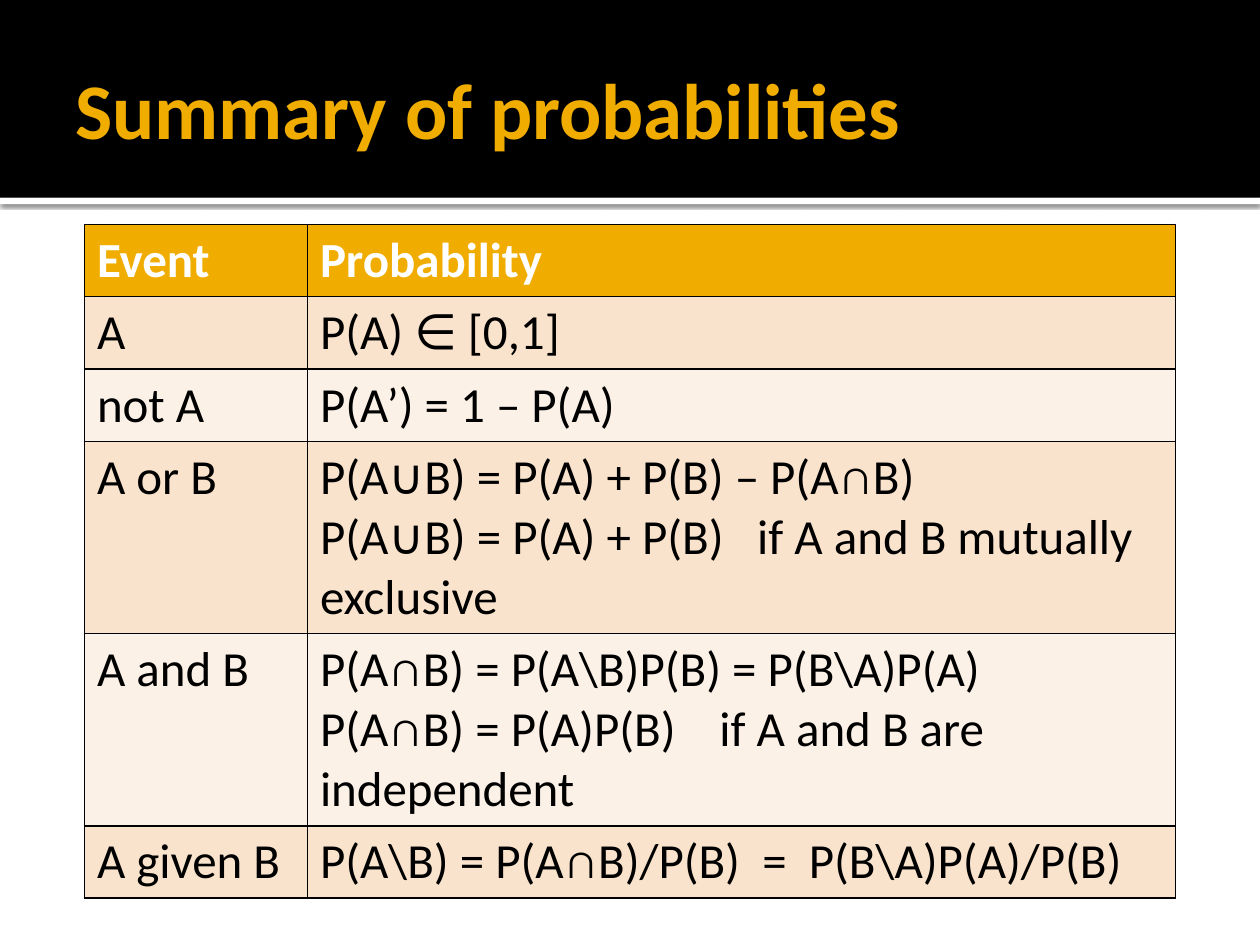
from lxml import etree
from pptx import Presentation
from pptx.dml.color import RGBColor
from pptx.enum.shapes import MSO_SHAPE
from pptx.enum.text import MSO_ANCHOR
from pptx.oxml.ns import qn
from pptx.util import Inches, Pt

GOLD, BLACK, WHITE = "F0AD00", "000000", "FFFFFF"
BANDS = ("F9E3CC", "FCF1E7")
COLUMN_WIDTHS = (1.77, 6.89)
LINE_ROW, TALL_ROW = 0.575, 1.525

ROWS = [
    ("Event", ["Probability"], ()),
    ("A", ["P(A) ∈ [0,1]"], ()),
    ("not A", ["P(A’) = 1 – P(A)"], ()),
    ("A or B", ["P(A∪B) = P(A) + P(B) – P(A∩B)",
                "P(A∪B) = P(A) + P(B)\tif A and B mutually exclusive"], (3.47,)),
    ("A and B", ["P(A∩B) = P(A\\B)P(B) = P(B\\A)P(A)",
                 "P(A∩B) = P(A)P(B)\tif A and B are independent"], (3.17,)),
    ("A given B", ["P(A\\B) = P(A∩B)/P(B)\t=\tP(B\\A)P(A)/P(B)"], (3.51, 3.88)),
]


def paint(fill, color):
    fill.solid()
    fill.fore_color.rgb = RGBColor.from_string(color)


def set_attributes(target, values):
    for name, value in values.items():
        setattr(target, name, value)


def add_band(slide, top, height, color):
    band = slide.shapes.add_shape(
        MSO_SHAPE.RECTANGLE, 0, Inches(top), Inches(10), Inches(height))
    band.shadow.inherit = False
    paint(band.fill, color)
    band.line.fill.background()
    return band


def add_shadow(shape):
    effects = shape._element.spPr.find(qn("a:effectLst"))
    shadow = etree.SubElement(
        effects, qn("a:outerShdw"), blurRad=str(Pt(2.5)), dist=str(Pt(0.8)),
        dir="5400000", algn="tl", rotWithShape="0")
    color = etree.SubElement(shadow, qn("a:srgbClr"), val=BLACK)
    etree.SubElement(color, qn("a:alpha"), val="60000")


def set_tabs(paragraph, stops):
    tabs = etree.SubElement(paragraph._p.get_or_add_pPr(), qn("a:tabLst"))
    for stop in stops:
        etree.SubElement(tabs, qn("a:tab"), pos=str(Inches(stop)), algn="l")


def write(frame, lines, size, color, bold, stops=()):
    for index, line in enumerate(lines):
        paragraph = frame.add_paragraph() if index else frame.paragraphs[0]
        if "\t" in line:
            set_tabs(paragraph, stops)
        run = paragraph.add_run()
        run.text = line
        set_attributes(run.font, {"name": "Calibri", "size": Pt(size), "bold": bold})
        run.font.color.rgb = RGBColor.from_string(color)


def add_title(slide, text):
    title = slide.shapes.add_textbox(
        Inches(0.5), Inches(0.17), Inches(9), Inches(1.37))
    set_attributes(title.text_frame, {
        "word_wrap": True, "vertical_anchor": MSO_ANCHOR.MIDDLE,
        "margin_left": Inches(0.1), "margin_right": Inches(0.05),
        "margin_top": Inches(0.05), "margin_bottom": Inches(0.05)})
    write(title.text_frame, [text], 45, GOLD, True)


def add_borders(cell):
    properties = cell._tc.get_or_add_tcPr()
    for position, side in enumerate(("lnL", "lnR", "lnT", "lnB")):
        border = etree.Element(qn(f"a:{side}"), w=str(Pt(1)))
        fill = etree.SubElement(border, qn("a:solidFill"))
        etree.SubElement(fill, qn("a:srgbClr"), val=BLACK)
        properties.insert(position, border)


def add_probability_table(slide):
    heights = [TALL_ROW if len(formulas) > 1 else LINE_ROW for _, formulas, _ in ROWS]
    table = slide.shapes.add_table(
        len(ROWS), len(COLUMN_WIDTHS), Inches(0.67), Inches(1.78),
        Inches(sum(COLUMN_WIDTHS)), Inches(sum(heights))).table
    for column, width in zip(table.columns, COLUMN_WIDTHS):
        column.width = Inches(width)
    for index, (event, formulas, stops) in enumerate(ROWS):
        table.rows[index].height = Inches(heights[index])
        header = index == 0
        for cell, lines in zip(table.rows[index].cells, ([event], formulas)):
            paint(cell.fill, GOLD if header else BANDS[(index - 1) % 2])
            add_borders(cell)
            write(cell.text_frame, lines, 28, WHITE if header else BLACK, header, stops)


def main():
    presentation = Presentation()
    set_attributes(presentation, {"slide_width": Inches(10), "slide_height": Inches(7.5)})
    slide = presentation.slides.add_slide(presentation.slide_layouts[6])
    add_shadow(add_band(slide, 1.57, 0.05, WHITE))
    add_band(slide, 0, 1.57, BLACK)
    add_title(slide, "Summary of probabilities")
    add_probability_table(slide)
    presentation.save("out.pptx")


if __name__ == "__main__":
    main()
